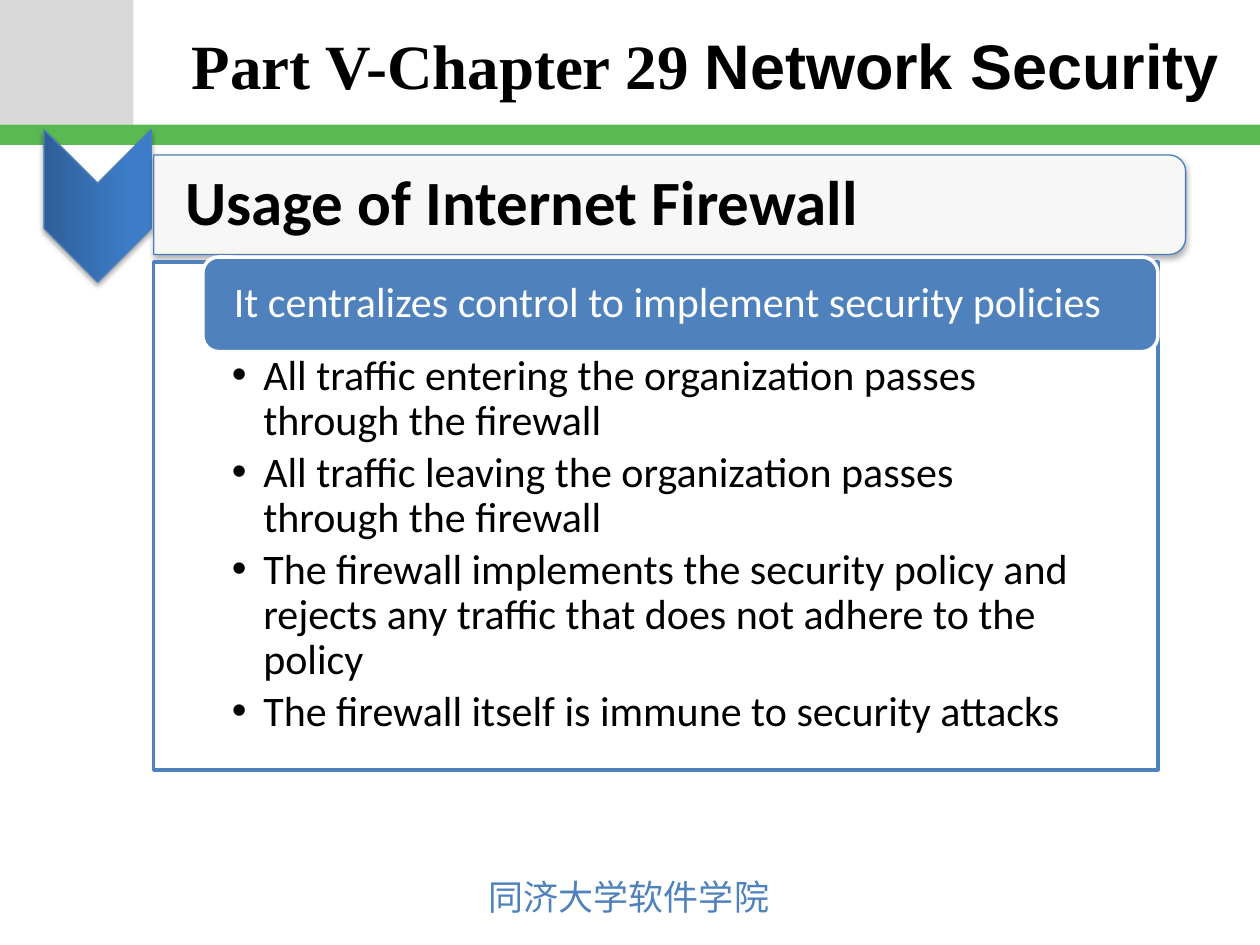
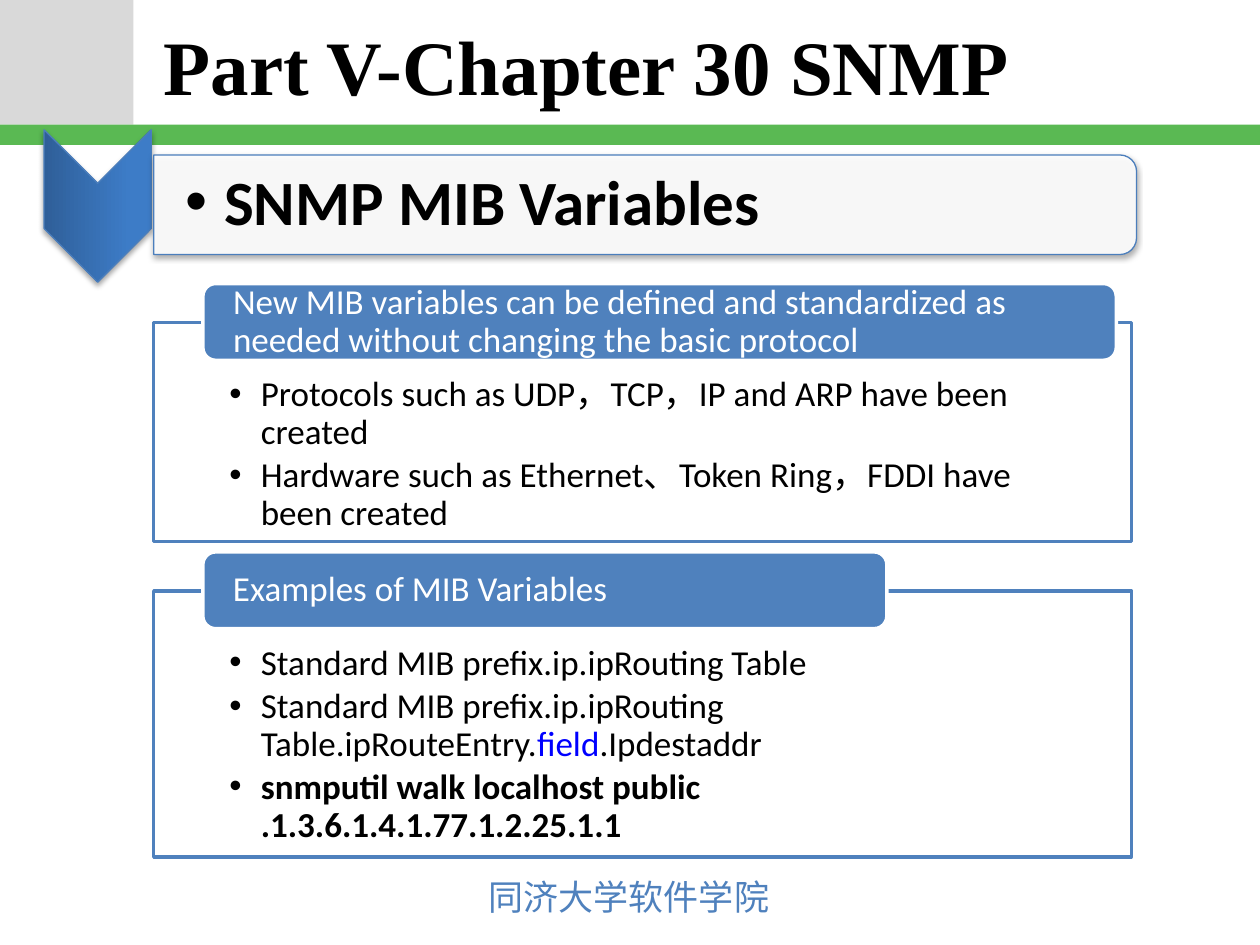
from lxml import etree
from pptx import Presentation
from pptx.dml.color import RGBColor as Rgb
from pptx.enum.shapes import MSO_SHAPE as Kind
from pptx.enum.text import MSO_ANCHOR as Anchor, PP_ALIGN as Align
from pptx.oxml.ns import qn
from pptx.util import Inches, Pt

COLORS = {
    "black": "000000", "white": "FFFFFF", "grey": "D9D9D9", "green": "5AB953",
    "blue": "4F81BD", "edge": "4B7EBC", "field": "0000FF",
    "arrow dark": "2F5F99", "arrow light": "3D7CC7",
}
RGB = {name: Rgb.from_string(value) for name, value in COLORS.items()}

deck = Presentation()
deck.slide_width, deck.slide_height = Inches(10), Inches(7.5)
COL, ROW = deck.slide_width / 100, deck.slide_height / 75


def add_part(slide, kind, box, fill, line=None, width=2, alpha=None, turned=False, raised=False):
    """Draw a shape over box (columns and rows); turned rotates it a quarter clockwise."""
    left, top, wide, high = box
    if turned:
        left, top = left + (wide - high) / 2, top + (high - wide) / 2
        wide, high = high, wide
    part = slide.shapes.add_shape(kind, *(int(n) for n in (left * COL, top * ROW, wide * COL, high * ROW)))
    part.rotation = 90 if turned else 0
    part.shadow.inherit = False
    if isinstance(fill, tuple):
        part.fill.gradient()
        part.fill.gradient_angle = 90
        for stop, color, place in zip(part.fill.gradient_stops, fill, (0, 0.8)):
            stop.color.rgb, stop.position = RGB[color], place
    else:
        part.fill.solid()
        part.fill.fore_color.rgb = RGB[fill]
    properties = part._element.spPr
    if alpha:
        color = properties.find(qn("a:solidFill")).find(qn("a:srgbClr"))
        etree.SubElement(color, qn("a:alpha"), val=str(alpha * 1000))
    if line:
        part.line.color.rgb, part.line.width = RGB[line], Pt(width)
    else:
        part.line.fill.background()
    if raised:
        shadow = etree.SubElement(properties.find(qn("a:effectLst")), qn("a:outerShdw"), blurRad="40000",
                                  dist="23000", dir="5400000", rotWithShape="0")
        color = etree.SubElement(shadow, qn("a:srgbClr"), val=COLORS["black"])
        etree.SubElement(color, qn("a:alpha"), val="35000")
    return part


def write(part, paragraphs, size, color="black", insets=(1, 0.5, 1, 0.5), anchor=Anchor.MIDDLE,
          align=Align.LEFT, spacing=0.9, after=0.15, indent=0, wrap=True, **font):
    """Fill part with paragraphs, each a list of (text, format values) runs."""
    frame = part.text_frame
    frame.word_wrap, frame.vertical_anchor = wrap, anchor
    for side, inset in zip(("left", "top", "right", "bottom"), insets):
        setattr(frame, f"margin_{side}", int(inset * COL))
    for index, runs in enumerate(paragraphs):
        paragraph = frame.add_paragraph() if index else frame.paragraphs[0]
        paragraph.alignment, paragraph.line_spacing = align, spacing
        paragraph.space_after = Pt(size * after)
        if indent:
            layout = paragraph._p.get_or_add_pPr()
            layout.set("marL", str(int(indent * COL)))
            layout.set("indent", str(-int(indent * COL)))
            etree.SubElement(layout, qn("a:buFont"), typeface="Arial")
            etree.SubElement(layout, qn("a:buChar"), char="•")
        for text, changes in runs:
            run = paragraph.add_run()
            run.text = text
            values = {"name": "Calibri", "size": Pt(size), "color": color, **font, **changes}
            run.font.color.rgb = RGB[values.pop("color")]
            for key, value in values.items():
                setattr(run.font, key, value)
            if values["name"].startswith("Noto"):
                etree.SubElement(run._r.get_or_add_rPr(), qn("a:ea"), typeface=values["name"])


def plain(*lines):
    return [[(line, {})] for line in lines]


chapters = [
    {
        "title": [("Part V-Chapter 29 ", {}), ("Network Security", {"name": "Arial"})],
        "title format": {"size": 36, "align": Align.CENTER}, "title width": 88,
        "topic": "Usage of Internet Firewall", "topic width": 81.9, "topic indent": 0,
        "size": 24, "panel width": 79.7, "insets": (6.2, 7.3, 6.2, 1.9), "label height": 7.5,
        "panels": [
            (20.8, 40.3, 20.4, 75.8, "It centralizes control to implement security policies", plain(
                "All traffic entering the organization passes through the firewall",
                "All traffic leaving the organization passes through the firewall",
                "The firewall implements the security policy and rejects any traffic "
                "that does not adhere to the policy",
                "The firewall itself is immune to security attacks")),
        ],
    },
    {
        "title": [("Part V-Chapter 30 SNMP", {})],
        "title format": {"size": 44}, "title width": 86,
        "topic": "SNMP MIB Variables", "topic width": 78, "topic indent": 3.1,
        "size": 20, "panel width": 77.6, "insets": (6, 4.3, 6, 1.6), "label height": 6.1,
        "panels": [
            (25.6, 17.4, 22.5, 72.5,
             "New MIB variables can be defined and standardized as needed without changing the basic protocol",
             plain("Protocols such as UDP，TCP，IP and ARP have been created",
                   "Hardware such as Ethernet、Token Ring，FDDI have been created")),
            (46.9, 21.1, 43.8, 54.3, "Examples of MIB Variables", [
                [("Standard MIB prefix.ip.ipRouting Table", {})],
                [("Standard MIB prefix.ip.ipRouting Table.ipRouteEntry.", {}),
                 ("field", {"color": "field"}), (".Ipdestaddr", {})],
                [("snmputil walk localhost public .1.3.6.1.4.1.77.1.2.25.1.1", {"bold": True})]]),
        ],
    },
]

for chapter in chapters:
    slide = deck.slides.add_slide(deck.slide_layouts[6])

    # Corner block, band, footer and title
    add_part(slide, Kind.RECTANGLE, (0, 0, 10.6, 9.9), "grey")
    add_part(slide, Kind.RECTANGLE, (0, 9.9, 100, 1.6), "green")
    school = slide.shapes.add_textbox(int(37.8 * COL), int(69 * ROW), int(24.5 * COL), int(4.4 * ROW))
    write(school, plain("同济大学软件学院"), 20, "blue", anchor=Anchor.TOP, spacing=1.0, after=0,
          wrap=False, name="Noto Sans CJK JP")
    title = slide.shapes.add_textbox(int(12 * COL), int(0.2 * ROW), int(chapter["title width"] * COL), int(9.8 * ROW))
    write(title, [chapter["title"]], spacing=1.0, after=0, name="Times New Roman", bold=True,
          **chapter["title format"])

    # Topic with its arrow
    add_part(slide, Kind.CHEVRON, (3.5, 10.3, 8.5, 12.1), ("arrow dark", "arrow light"), "edge", 0.75,
             turned=True, raised=True)
    add_part(slide, Kind.ROUND_2_SAME_RECTANGLE, (12.2, 12.3, chapter["topic width"], 7.9), "white", "edge", 0.75,
             alpha=90, turned=True, raised=True)
    topic = slide.shapes.add_textbox(int(12.2 * COL), int(12.7 * ROW), int(chapter["topic width"] * COL), int(7.1 * ROW))
    write(topic, plain(chapter["topic"]), 36, insets=(2.5, 0.2, 0.2, 0.2),
          indent=chapter["topic indent"], bold=True)

    # Panels, each with a label over its top edge
    for top, height, label_top, label_width, heading, points in chapter["panels"]:
        panel = add_part(slide, Kind.RECTANGLE, (12.2, top, chapter["panel width"], height), "white", "blue", alpha=90)
        write(panel, points, chapter["size"], insets=chapter["insets"], anchor=Anchor.TOP, indent=2.5)
        label = add_part(slide, Kind.ROUNDED_RECTANGLE, (16.1, label_top, label_width, chapter["label height"]),
                         "blue", "white")
        write(label, plain(heading), chapter["size"], "white", insets=(2.1, 0, 2.1, 0), after=0.35)

deck.save("out.pptx")
